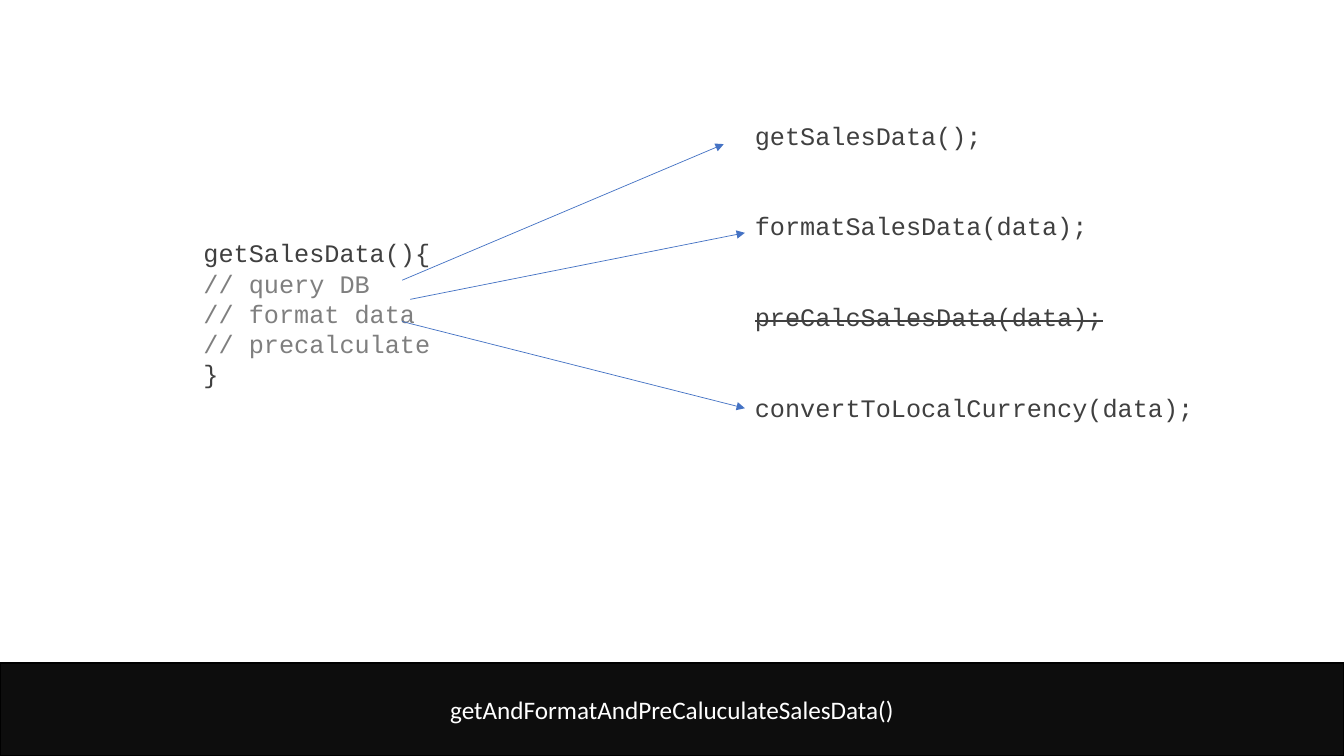
from lxml.etree import SubElement
from pptx import Presentation
from pptx.dml.color import RGBColor
from pptx.enum.shapes import MSO_CONNECTOR as CONNECTOR, MSO_SHAPE as SHAPE
from pptx.enum.text import MSO_ANCHOR as ANCHOR, MSO_AUTO_SIZE as AUTO_SIZE, PP_ALIGN as ALIGN
from pptx.oxml.ns import qn
from pptx.util import Pt

WHITE = RGBColor(0xFF, 0xFF, 0xFF)
BLACK = RGBColor(0x00, 0x00, 0x00)
NEAR_BLACK = RGBColor(0x0D, 0x0D, 0x0D)
CODE_DARK = RGBColor(0x40, 0x40, 0x40)
COMMENT_GRAY = RGBColor(0x7F, 0x7F, 0x7F)
ARROW_BLUE = RGBColor(0x44, 0x72, 0xC4)

FUNCTION_LINES = [
    "getSalesData(){",
    "// query DB",
    "// format data",
    "// precalculate",
    "}",
]
SPLIT_CALLS = [
    "getSalesData();",
    "formatSalesData(data);",
    "preCalcSalesData(data);",
    "convertToLocalCurrency(data);",
]
DROPPED_CALL = "preCalcSalesData(data);"
COMBINED_NAME = "getAndFormatAndPreCaluculateSalesData()"

SLIDE_WIDTH, SLIDE_HEIGHT = 960, 540
BANNER_HEIGHT = 66.5
FONT_SIZE = 18
LINE_PITCH = 21.6
FUNCTION_BOX = (138.24, 166.32, 199.44, 116.64)
CALLS_BOX = (532.08, 82.08, 369.36, 225.36)
ARROWS = [
    ((287.28, 200.16), (516.96, 102.96)),
    ((287.28, 229.68), (532.08, 291.6)),
    ((293.04, 213.84), (532.08, 166.32)),
]


def add_code(slide, box, lines, gap=0):
    frame = slide.shapes.add_textbox(*map(Pt, box)).text_frame
    frame.text = "\n".join(lines)
    frame.word_wrap = True
    frame.auto_size = AUTO_SIZE.SHAPE_TO_FIT_TEXT
    for line in frame.paragraphs:
        line.line_spacing = Pt(LINE_PITCH)
        if line.text != lines[-1]:
            line.space_after = Pt(gap)
        font = line.runs[0].font
        font.name, font.size = "Courier New", Pt(FONT_SIZE)
        font.color.rgb = COMMENT_GRAY if line.text.startswith("//") else CODE_DARK
        if line.text == DROPPED_CALL:
            font._element.set("strike", "sngStrike")


def add_banner(slide):
    top = SLIDE_HEIGHT - BANNER_HEIGHT
    banner = slide.shapes.add_shape(
        SHAPE.RECTANGLE, 0, Pt(top), Pt(SLIDE_WIDTH), Pt(BANNER_HEIGHT))
    banner.shadow.inherit = False
    banner.fill.solid()
    banner.fill.fore_color.rgb = NEAR_BLACK
    banner.line.color.rgb = BLACK
    banner.line.width = Pt(1)
    banner.text_frame.text = COMBINED_NAME
    banner.text_frame.vertical_anchor = ANCHOR.MIDDLE
    name = banner.text_frame.paragraphs[0]
    name.alignment = ALIGN.CENTER
    font = name.runs[0].font
    font.name, font.size = "Calibri", Pt(FONT_SIZE)
    font.color.rgb = WHITE


def add_arrow(slide, start, end):
    arrow = slide.shapes.add_connector(CONNECTOR.STRAIGHT, *map(Pt, start + end))
    arrow.line.color.rgb = ARROW_BLUE
    arrow.line.width = Pt(0.5)
    SubElement(arrow.line._get_or_add_ln(), qn("a:tailEnd"), type="triangle")
    SubElement(arrow._element.spPr, qn("a:effectLst"))


def main():
    deck = Presentation()
    deck.slide_width, deck.slide_height = Pt(SLIDE_WIDTH), Pt(SLIDE_HEIGHT)
    slide = deck.slides.add_slide(deck.slide_layouts.get_by_name("Blank"))
    add_code(slide, FUNCTION_BOX, FUNCTION_LINES)
    add_banner(slide)
    add_code(slide, CALLS_BOX, SPLIT_CALLS, gap=2 * LINE_PITCH)
    for start, end in ARROWS:
        add_arrow(slide, start, end)
    deck.save("out.pptx")


if __name__ == "__main__":
    main()
